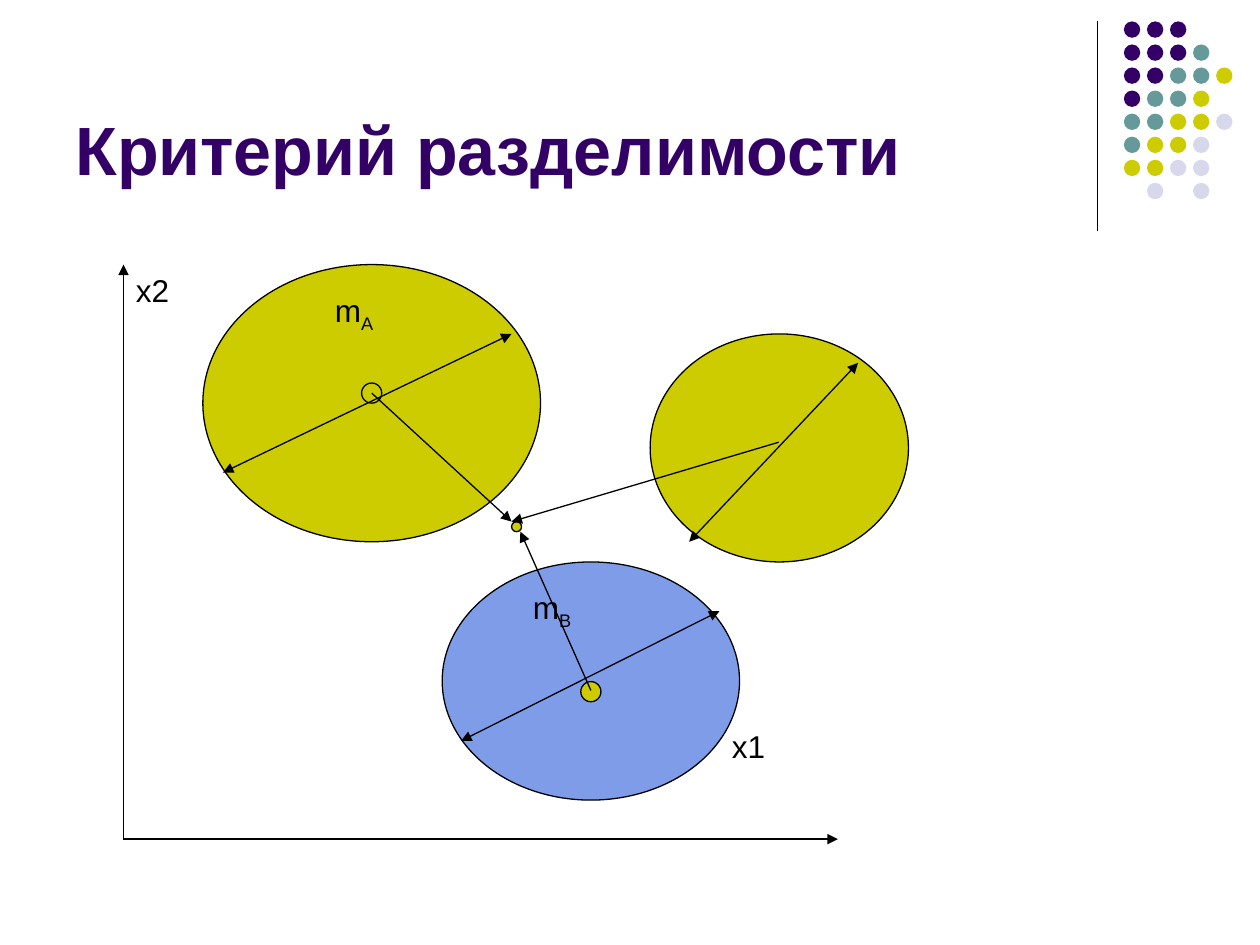
from lxml.etree import SubElement
from pptx import Presentation
from pptx.dml.color import RGBColor
from pptx.enum.shapes import MSO_CONNECTOR, MSO_SHAPE
from pptx.enum.text import MSO_ANCHOR
from pptx.oxml.ns import qn
from pptx.util import Inches, Pt

BLACK, PURPLE, OLIVE, BLUE = "000000", "330066", "CCCC00", "7E9CE8"

# Corner dots: one letter per column, a space leaves the cell empty
DOT_COLORS = {"P": PURPLE, "T": "669999", "O": OLIVE, "L": "D8D8EC"}
DOT_ROWS = ["PPP", "PPPT", "PPTTO", "PTTO", "TTOOL", "TOOL", "OOLL", " L L"]
DOT_LEFT, DOT_TOP, DOT_STEP, DOT_SIZE = 8.92, 0.17, 0.183, 0.13

TITLE = "Критерий разделимости"

# from, to, arrowheads
DIVIDER = ((8.71, 0.17), (8.71, 1.83), ())
AXES = [
    ((0.98, 6.66), (0.98, 2.1), ("tailEnd",)),
    ((0.98, 6.66), (6.65, 6.66), ("tailEnd",)),
]
BOTH = ("headEnd", "tailEnd")
DIAMETERS = [
    ((1.77, 3.75), (4.06, 2.65), BOTH),
    ((3.66, 5.88), (5.71, 4.85), BOTH),
    ((5.47, 4.3), (6.81, 2.88), BOTH),
]
TO_COMMON_MEAN = [
    ((4.69, 5.48), (4.13, 4.22), ("tailEnd",)),
    ((6.18, 3.51), (4.06, 4.14), ("tailEnd",)),
    ((2.95, 3.12), (4.06, 4.14), ("tailEnd",)),
]

# left, top, width, height, fill
CLUSTERS = [
    (1.61, 2.1, 2.68, 2.2, OLIVE),
    (3.51, 4.46, 2.36, 1.89, BLUE),
    (5.16, 2.65, 2.05, 1.81, OLIVE),
]
MEANS = [
    (2.87, 3.04, 0.16, 0.16, OLIVE),
    (4.61, 5.41, 0.16, 0.16, OLIVE),
    (4.06, 4.14, 0.08, 0.08, OLIVE),
]

# left, top, width, height, text, subscript
LABELS = [
    (0.98, 2.1, 1.26, 0.4, "х2", ""),
    (5.71, 5.72, 1.26, 0.4, "х1", ""),
    (2.56, 2.26, 1.58, 0.44, "m", "A"),
    (4.13, 4.62, 1.58, 0.44, "m", "B"),
]


def rgb(color):
    return RGBColor.from_string(color)


def add_ellipse(slide, left, top, width, height, fill, outlined=True):
    s = slide.shapes.add_shape(MSO_SHAPE.OVAL, *map(Inches, (left, top, width, height)))
    s.shadow.inherit = False
    s.fill.solid()
    s.fill.fore_color.rgb = rgb(fill)
    if outlined:
        s.line.color.rgb = rgb(BLACK)
        s.line.width = Pt(0.75)
    else:
        s.line.fill.background()


def add_line(slide, start, end, heads):
    c = slide.shapes.add_connector(MSO_CONNECTOR.STRAIGHT, *map(Inches, start + end))
    c.line.color.rgb = rgb(BLACK)
    c.line.width = Pt(0.75)
    ln = c.line._get_or_add_ln()
    for head in heads:
        SubElement(ln, qn("a:" + head), type="triangle")
    SubElement(c._element.spPr, qn("a:effectLst"))


def add_text(slide, left, top, width, height, text, size, color, bold=False, subscript=""):
    tf = slide.shapes.add_textbox(*map(Inches, (left, top, width, height))).text_frame
    tf.word_wrap = True
    p = tf.paragraphs[0]
    p.text = text
    if subscript:
        r = p.add_run()
        r.text = subscript
        r._r.get_or_add_rPr().set("baseline", "-25000")
    for r in p.runs:
        r.font.name = "Arial"
        r.font.size = Pt(size)
        r.font.bold = bold
        r.font.color.rgb = rgb(color)
    return tf


def main():
    prs = Presentation()
    prs.slide_width, prs.slide_height = Inches(10), Inches(7.5)
    slide = prs.slides.add_slide(prs.slide_layouts[6])

    add_line(slide, *DIVIDER)
    for row, letters in enumerate(DOT_ROWS):
        for col, letter in enumerate(letters):
            if letter != " ":
                add_ellipse(slide, DOT_LEFT + col * DOT_STEP, DOT_TOP + row * DOT_STEP,
                            DOT_SIZE, DOT_SIZE, DOT_COLORS[letter], outlined=False)

    tf = add_text(slide, 0.5, 0.13, 8.25, 1.42, TITLE, 39, PURPLE, bold=True)
    tf.vertical_anchor = MSO_ANCHOR.BOTTOM

    for axis in AXES:
        add_line(slide, *axis)
    for ellipse in CLUSTERS + MEANS:
        add_ellipse(slide, *ellipse)
    for *box, text, subscript in LABELS:
        add_text(slide, *box, text, 18, BLACK, subscript=subscript)
    for arrow in DIAMETERS + TO_COMMON_MEAN:
        add_line(slide, *arrow)

    prs.save("out.pptx")


if __name__ == "__main__":
    main()
